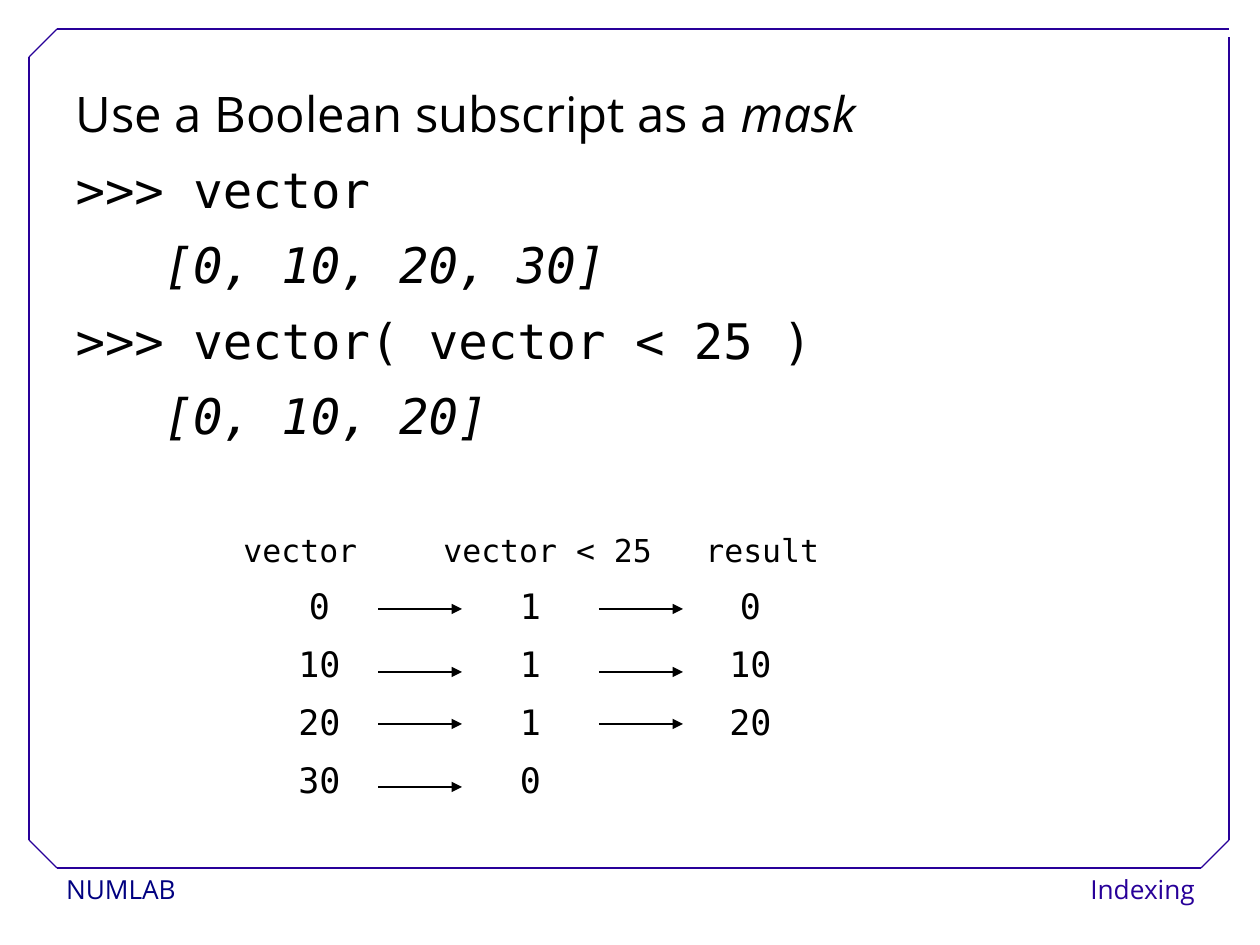
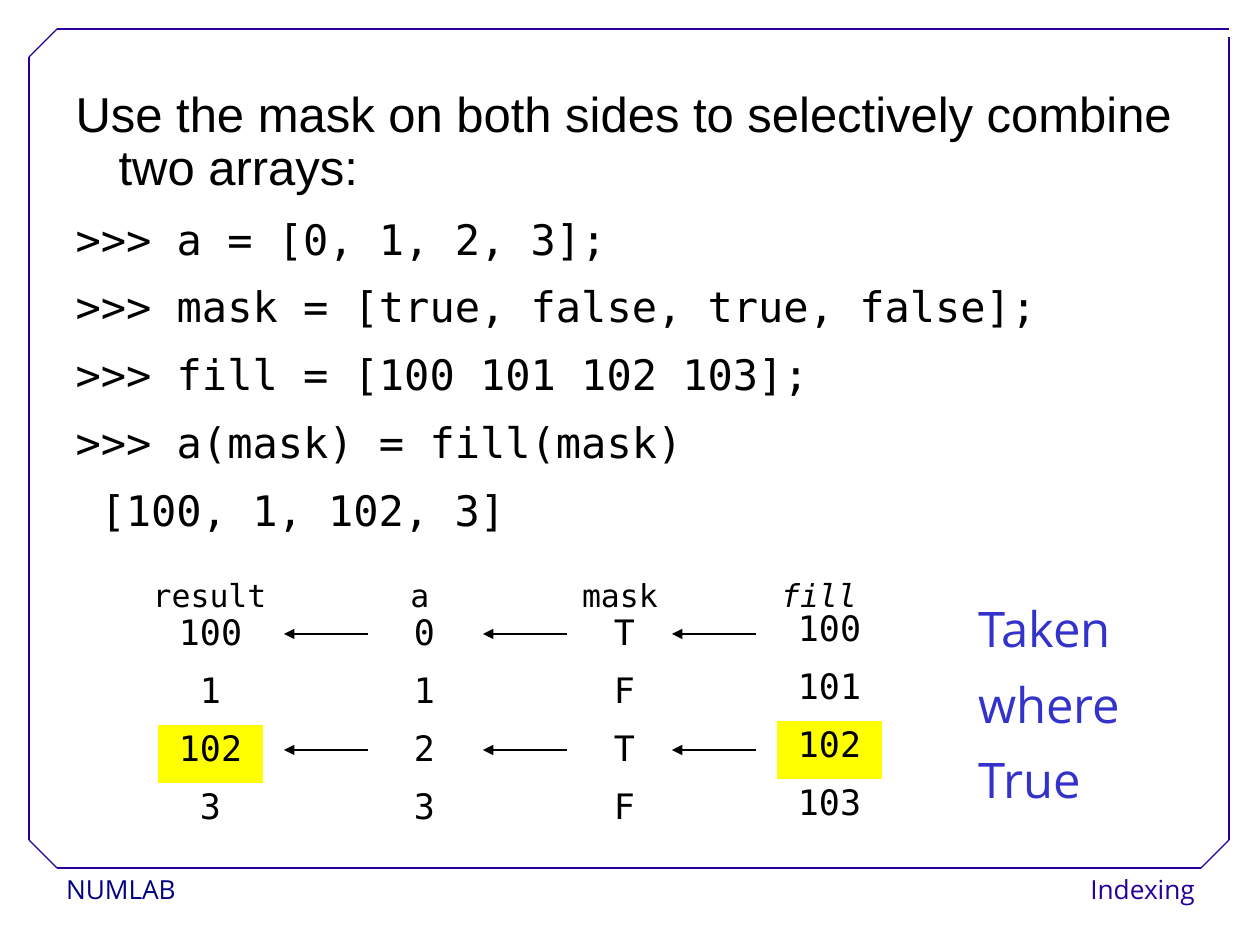
from dataclasses import dataclass

from pptx import Presentation
from pptx.dml.color import RGBColor
from pptx.enum.shapes import MSO_CONNECTOR, MSO_SHAPE
from pptx.enum.text import MSO_ANCHOR, MSO_AUTO_SIZE, PP_ALIGN
from pptx.oxml.ns import qn
from pptx.util import Emu, Pt

EMU_PER_PX = 914400 / 126
NO_GRID_STYLE = "{2D5ABB26-0587-4C30-8999-92F81FD0307C}"


@dataclass(frozen=True)
class Theme:
    ink: str = "000000"
    paper: str = "FFFFFF"
    frame: str = "280099"
    course: str = "000080"
    remark: str = "3333CC"
    highlight: str = "FFFF00"
    sans: str = "Open Sans"
    plain: str = "Arial"
    mono: str = "DejaVu Sans Mono"
    body_size: int = 28
    code_size: int = 24
    value_size: int = 20
    label_size: int = 18
    footer_size: int = 15
    body_spacing: float = 0.9
    value_spacing: float = 0.93
    footer_spacing: float = 1.02
    paragraph_gap: float = 12.9
    hanging: int = 43
    line_width: float = 0.75


THEME = Theme()
BODY = dict(spacing=THEME.body_spacing, after=THEME.paragraph_gap,
            indent=THEME.hanging, first=-THEME.hanging)

ROW_HEIGHT = 58
LABEL_HEIGHT = 50
ARROW_LENGTH = 84


def px(length):
    return Emu(round(length * EMU_PER_PX))


def box(*lengths):
    return [px(length) for length in lengths]


def rgb(color):
    return RGBColor.from_string(color)


# Text
def write(frame, text, emphasis="", font=THEME.mono, size=THEME.body_size,
          color=THEME.ink, italic=False, align=PP_ALIGN.LEFT, spacing=1.0,
          after=0, indent=0, first=0):
    """Write one paragraph; emphasis is italic text at its end."""
    paragraph = frame.paragraphs[0]
    if paragraph.runs:
        paragraph = frame.add_paragraph()
    paragraph.alignment = align
    paragraph.line_spacing = spacing
    paragraph.space_before = Pt(0)
    paragraph.space_after = Pt(after)
    properties = paragraph._p.get_or_add_pPr()
    properties.set("marL", str(px(indent)))
    properties.set("indent", str(px(first)))
    properties.append(properties.makeelement(qn("a:buNone"), {}))
    for part, slanted in ((text, italic), (emphasis, True)):
        if part:
            run = paragraph.add_run()
            run.text = part
            run.font.name = font
            run.font.size = Pt(size)
            run.font.italic = slanted
            run.font.color.rgb = rgb(color)


def prepare_frame(shape):
    frame = shape.text_frame
    frame.word_wrap = True
    frame.auto_size = MSO_AUTO_SIZE.NONE
    frame.vertical_anchor = MSO_ANCHOR.TOP
    return frame


def add_text(slide, left, top, width, height):
    return prepare_frame(slide.shapes.add_textbox(*box(left, top, width, height)))


def place_body(slide, width):
    body = slide.placeholders[1]
    body.left, body.top, body.width, body.height = box(63, 84, width, 766)
    return prepare_frame(body)


# Lines
def add_line(slide, start, end, color=THEME.ink, arrow=False):
    line = slide.shapes.add_connector(MSO_CONNECTOR.STRAIGHT, *box(*start, *end))
    line.line.color.rgb = rgb(color)
    line.line.width = Pt(THEME.line_width)
    if arrow:
        outline = line.line._get_or_add_ln()
        outline.append(outline.makeelement(qn("a:tailEnd"), {"type": "triangle"}))
    properties = line._element.spPr
    properties.append(properties.makeelement(qn("a:effectLst"), {}))


def add_arrows(slide, starts, heights, direction=1):
    for x in starts:
        for y in heights:
            add_line(slide, (x, y), (x + direction * ARROW_LENGTH, y), arrow=True)


# Columns of values
def add_label(slide, text, left, top, width, **text_format):
    frame = add_text(slide, left, top, width, LABEL_HEIGHT)
    write(frame, text, size=THEME.label_size, **text_format)


def add_column(slide, values, left, top, width=73, highlighted=None):
    graphic = slide.shapes.add_table(
        len(values), 1, *box(left, top, width, ROW_HEIGHT * len(values)))
    table = graphic.table
    table.first_row = table.horz_banding = False
    table._tbl.tblPr.find(qn("a:tableStyleId")).text = NO_GRID_STYLE
    for row, value in enumerate(values):
        cell = table.cell(row, 0)
        cell.margin_left = cell.margin_right = px(13)
        cell.margin_top = cell.margin_bottom = px(6)
        if row == highlighted:
            cell.fill.solid()
            cell.fill.fore_color.rgb = rgb(THEME.highlight)
        else:
            cell.fill.background()
        write(cell.text_frame, value, size=THEME.value_size,
              align=PP_ALIGN.CENTER, spacing=THEME.value_spacing)


# Frame and footers shared by the slides
def add_footer(slide, text, left, width, color, align):
    footer = slide.shapes.add_shape(MSO_SHAPE.RECTANGLE, *box(left, 868, width, 47))
    footer.shadow.inherit = False
    footer.fill.solid()
    footer.fill.fore_color.rgb = rgb(THEME.paper)
    footer.line.fill.background()
    frame = prepare_frame(footer)
    frame.margin_left = frame.margin_right = px(11)
    frame.margin_top = frame.margin_bottom = px(5)
    write(frame, text, font=THEME.sans, size=THEME.footer_size, color=color,
          align=align, spacing=THEME.footer_spacing)


def add_frame(slide):
    left, top, right, bottom, cut = 29, 29, 1229, 868, 28
    edges = [
        ((left + cut, bottom), (right - cut, bottom)),
        ((left, bottom - cut), (left, top + cut)),
        ((left + cut, top), (right, top)),
        ((right, bottom - cut), (right, top + 8)),
        ((left, top + cut), (left + cut, top)),
        ((right - cut, bottom), (right, bottom - cut)),
        ((left, bottom - cut), (left + cut, bottom)),
    ]
    for start, end in edges:
        add_line(slide, start, end, color=THEME.frame)


def add_slide(presentation):
    slide = presentation.slides.add_slide(presentation.slide_layouts[1])
    title = slide.shapes.title._element
    title.getparent().remove(title)
    add_footer(slide, "NUMLAB", 55, 246, THEME.course, PP_ALIGN.LEFT)
    add_footer(slide, "Indexing", 1046, 160, THEME.frame, PP_ALIGN.RIGHT)
    add_frame(slide)
    return slide


# Slides
def build_subscript_slide(presentation):
    slide = add_slide(presentation)
    body = place_body(slide, 1134)
    output = dict(BODY, indent=88, first=0, italic=True)
    write(body, "Use a Boolean subscript as a ", emphasis="mask",
          font=THEME.sans, **BODY)
    write(body, ">>> vector", **BODY)
    write(body, "[0, 10, 20, 30]", **output)
    write(body, ">>> vector( vector < 25 )", **BODY)
    write(body, "[0, 10, 20]", **output)

    columns = [
        ("vector", 231, 147, ["0", "10", "20", "30"], 283),
        ("vector < 25", 431, 252, ["1", "1", "1", "0"], 494),
        ("result", 693, 179, ["0", "10", "20"], 714),
    ]
    for label, label_left, label_width, values, left in columns:
        add_column(slide, values, left, 583)
        add_label(slide, label, label_left, 525, label_width)

    arrow_rows = [609, 672, 724, 787]
    add_arrows(slide, [378], arrow_rows)
    add_arrows(slide, [599], arrow_rows[:3])


def build_combine_slide(presentation):
    slide = add_slide(presentation)
    body = place_body(slide, 1166)
    write(body, "Use the mask on both sides to selectively combine two arrays:",
          font=THEME.plain, **BODY)
    for code in (">>> a = [0, 1, 2, 3];",
                 ">>> mask = [true, false, true, false];",
                 ">>> fill = [100 101 102 103];",
                 ">>> a(mask) = fill(mask)"):
        write(body, code, size=THEME.code_size, **BODY)
    write(body, "[100, 1, 102, 3]", size=THEME.code_size,
          **dict(BODY, indent=25, first=0))

    columns = [
        ("result", 136, 147, ["100", "1", "102", "3"], 158, 609, 105, 2),
        ("a", 357, 126, ["0", "1", "2", "3"], 388, 609, 73, None),
        ("mask", 557, 126, ["T", "F", "T", "F"], 588, 609, 73, None),
        ("fill", 756, 126, ["100", "101", "102", "103"], 777, 605, 105, 2),
    ]
    for label, label_left, label_width, values, left, top, width, marked in columns:
        add_column(slide, values, left, top, width, highlighted=marked)
        add_label(slide, label, label_left, 570, label_width,
                  align=PP_ALIGN.CENTER, italic=label == "fill")

    add_arrows(slide, [368, 567, 756], [634, 750], direction=-1)

    remark = add_text(slide, 966, 599, 168, 221)
    for word in ("Taken", "where", "True"):
        write(remark, word, font=THEME.sans, color=THEME.remark, **BODY)


def main():
    presentation = Presentation()
    presentation.slide_width, presentation.slide_height = box(1260, 945)
    build_subscript_slide(presentation)
    build_combine_slide(presentation)
    presentation.save("out.pptx")


if __name__ == "__main__":
    main()
